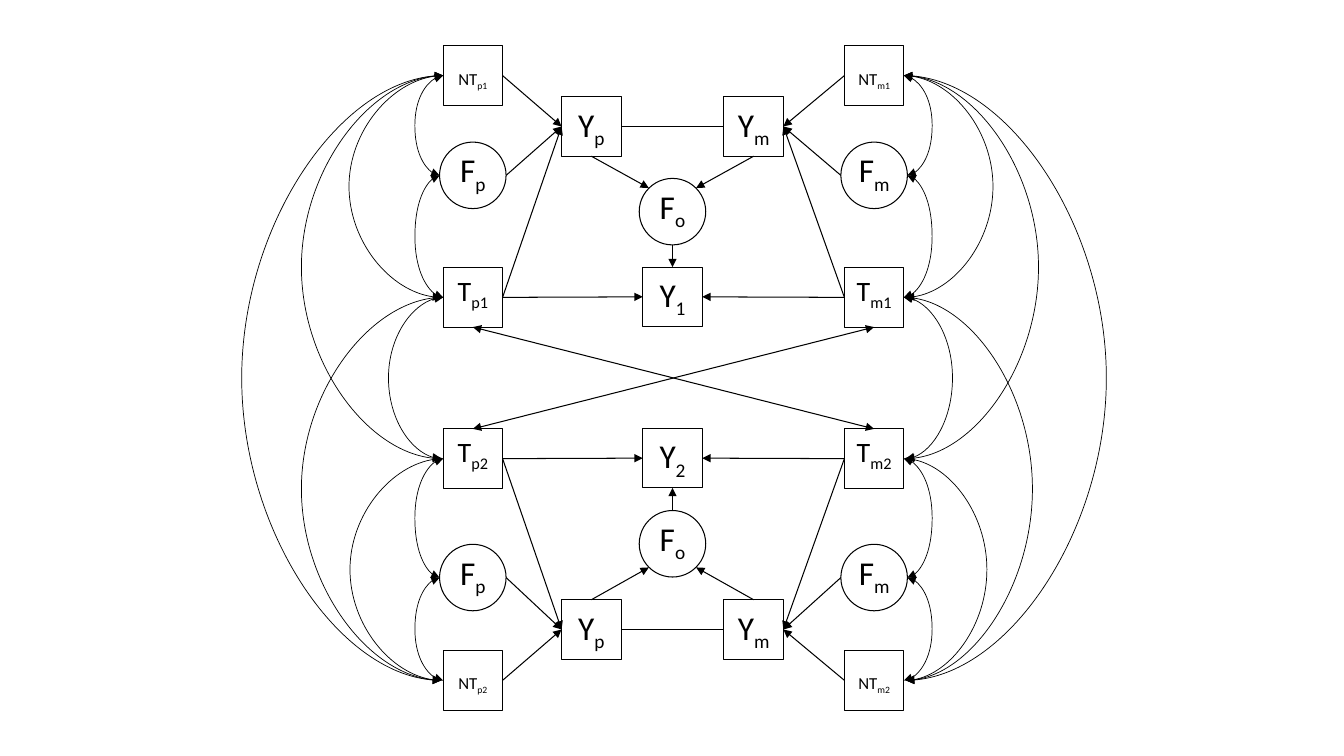
from dataclasses import dataclass

from lxml import etree
from pptx import Presentation
from pptx.dml.color import RGBColor
from pptx.enum.shapes import MSO_CONNECTOR, MSO_SHAPE
from pptx.enum.text import MSO_ANCHOR, PP_ALIGN
from pptx.oxml.ns import qn
from pptx.util import Inches, Pt

SQUARE = MSO_SHAPE.RECTANGLE
CIRCLE = MSO_SHAPE.OVAL
STRAIGHT = MSO_CONNECTOR.STRAIGHT
CURVE = MSO_CONNECTOR.CURVE
MIDDLE = MSO_ANCHOR.MIDDLE
CENTER = PP_ALIGN.CENTER

SLIDE_SIZE = (13.33, 7.5)
FONT = "Calibri"
INK = "000000"
GRID = 0.1
NUDGE = 0.02

# name: (preset, side, font size, top inset, bottom inset)
NODE_STYLES = {
    "Y": (SQUARE, 0.59, 23.8, 0, 0),
    "F": (CIRCLE, 0.66, 23.8, 0, 0.06),
    "T": (SQUARE, 0.59, 20, 0, 0.1),
    "NT": (SQUARE, 0.59, 12, 0.08, 0),
}
SIDE_ROWS = (3, 12.9, 25, 41, 52.8, 63)
SIDE_ARCS = ((0, 1), (1, 2), (3, 4), (4, 5), (0, 2), (3, 5), (2, 3), (0, 3), (2, 5), (0, 5))
SHORT_ARC = (2.8,) * 4
LEFT_BULGES = SHORT_ARC + (9.3, 9.2, 5.4, 14, 14, 19.9)
RIGHT_BULGES = SHORT_ARC + (8.8, 8.2, 4.8, 13.3, 12.7, 20)


@dataclass
class Node:
    x: float
    y: float
    half: float

    def edge(self, across, down):
        return self.x + across * self.half, self.y + down * self.half


def color(value):
    return RGBColor.from_string(value)


def add_node(slide, x, y, symbol, subscript):
    preset, side, size, top, bottom = NODE_STYLES[symbol]
    half = side / 2
    shape = slide.shapes.add_shape(
        preset, Inches(x - half), Inches(y - half), Inches(side), Inches(side))
    shape.shadow.inherit = False
    shape.fill.background()
    shape.line.color.rgb = color(INK)
    shape.line.width = Pt(0.75)
    frame = shape.text_frame
    frame.word_wrap = False
    frame.vertical_anchor = MIDDLE
    frame.margin_left = frame.margin_right = 0
    frame.margin_top, frame.margin_bottom = Inches(top), Inches(bottom)
    paragraph = frame.paragraphs[0]
    paragraph.alignment = CENTER
    for text, baseline in ((symbol, 0), (subscript, -25000)):
        run = paragraph.add_run()
        run.text = text
        run.font.name = FONT
        run.font.size = Pt(size)
        run.font.color.rgb = color(INK)
        if baseline:
            run.font._element.set("baseline", str(baseline))
    return Node(x, y, half)


def add_line(slide, start, end, heads=("tailEnd",), kind=STRAIGHT, width=0.75):
    connector = slide.shapes.add_connector(kind, *map(Inches, start + end))
    connector.line.color.rgb = color(INK)
    connector.line.width = Pt(width)
    properties = connector.element.spPr
    for head in heads:
        etree.SubElement(properties.find(qn("a:ln")), qn("a:" + head), type="triangle")
    etree.SubElement(properties, qn("a:effectLst"))
    return connector


def add_arc(slide, start, end, peak, outward):
    if abs(end[0] - start[0]) < NUDGE:
        end = (start[0] + outward * NUDGE, end[1])
    connector = add_line(slide, start, end, ("headEnd", "tailEnd"), CURVE, 0.5)
    properties = connector.element.spPr
    if outward < 0:
        frame = properties.find(qn("a:xfrm"))
        frame.set("rot", "10800000")
        frame.set("flipH", "1" if start[0] < end[0] else "0")
        frame.set("flipV", "1")
    bend = round((peak - start[0]) / (end[0] - start[0]) * 100000)
    geometry = properties.find(qn("a:prstGeom"))
    guides = geometry.find(qn("a:avLst"))
    if guides is None:
        guides = etree.SubElement(geometry, qn("a:avLst"))
    etree.SubElement(guides, qn("a:gd"), name="adj1", fmla=f"val {bend}")


def draw_side(slide, box, letter, outward, bulges):
    left, top, width, height = box
    x = left + width / 2
    labels = (("NT", letter + "1"), ("F", letter), ("T", letter + "1"),
              ("T", letter + "2"), ("F", letter), ("NT", letter + "2"))
    nodes = [add_node(slide, x, top + row * height / 66, *label)
             for row, label in zip(SIDE_ROWS, labels)]
    rim = x + outward * NODE_STYLES["T"][1] / 2
    for (first, last), bulge in zip(SIDE_ARCS, bulges):
        add_arc(slide, nodes[first].edge(outward, 0), nodes[last].edge(outward, 0),
                rim + outward * bulge * GRID, outward)
    return nodes


def draw_core(slide, box, number, down):
    left, top, width, height = box
    outer = top if down > 0 else top + height
    middle = left + width / 2
    half = NODE_STYLES["Y"][1] / 2
    pair_y = outer + down * half
    parent = add_node(slide, left + half, pair_y, "Y", "p")
    mate = add_node(slide, left + width - half, pair_y, "Y", "m")
    factor = add_node(slide, middle, outer + down * height / 2, "F", "o")
    result = add_node(slide, middle, outer + down * (height - half), "Y", number)
    add_line(slide, parent.edge(1, 0), mate.edge(-1, 0), ())
    add_line(slide, parent.edge(0, down), factor.edge(-0.71, -0.71 * down))
    add_line(slide, mate.edge(0, down), factor.edge(0.71, -0.71 * down))
    add_line(slide, factor.edge(0, down), result.edge(0, -down))
    return parent, mate, result


def link_side(slide, causes, trait, target, result, inward):
    for cause in causes:
        add_line(slide, cause.edge(inward, 0), target.edge(-inward, 0))
    add_line(slide, trait.edge(inward, 0), result.edge(-inward, 0))


def draw_path_diagram(slide):
    left_side = draw_side(slide, (4.36, 0.45, 0.66, 6.6), "p", -1, LEFT_BULGES)
    right_side = draw_side(slide, (8.34, 0.45, 0.66, 6.6), "m", 1, RIGHT_BULGES)
    upper = draw_core(slide, (5.57, 0.96, 2.2, 2.28), "1", 1)
    lower = draw_core(slide, (5.57, 4.25, 2.2, 2.29), "2", -1)
    for nodes, column, inward in ((left_side, 0, 1), (right_side, 1, -1)):
        link_side(slide, nodes[:3], nodes[2], upper[column], upper[2], inward)
        link_side(slide, nodes[3:], nodes[3], lower[column], lower[2], inward)
    for start, end in ((right_side, left_side), (left_side, right_side)):
        add_line(slide, start[3].edge(0, -1), end[2].edge(0, 1), ("headEnd", "tailEnd"))


def main():
    presentation = Presentation()
    presentation.slide_width, presentation.slide_height = map(Inches, SLIDE_SIZE)
    slide = presentation.slides.add_slide(presentation.slide_layouts[6])
    draw_path_diagram(slide)
    presentation.save("out.pptx")


if __name__ == "__main__":
    main()
